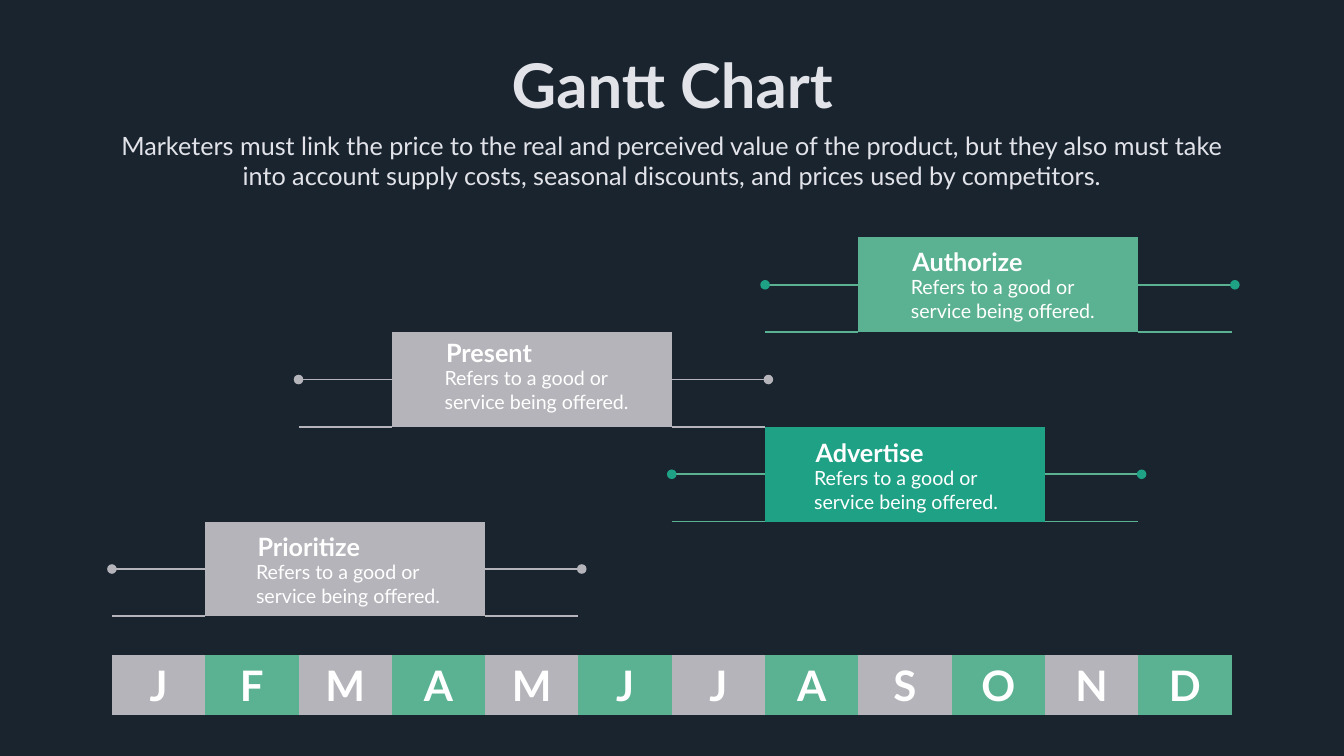
import collections

import pptx
import pptx.dml.color
import pptx.enum.shapes
import pptx.enum.text
import pptx.oxml
import pptx.oxml.ns
import pptx.util

Inches = pptx.util.Inches
Pt = pptx.util.Pt
RGBColor = pptx.dml.color.RGBColor
ALIGN = pptx.enum.text.PP_ALIGN
ANCHOR = pptx.enum.text.MSO_ANCHOR

NIGHT = RGBColor(0x19, 0x24, 0x2F)
PALE = RGBColor(0xE2, 0xE3, 0xE9)
WHITE = RGBColor(0xFF, 0xFF, 0xFF)
GREY = RGBColor(0xB4, 0xB4, 0xBA)
GREEN = RGBColor(0x5B, 0xB2, 0x92)
TEAL = RGBColor(0x1E, 0xA1, 0x85)

NO_GRID_STYLE = "{2D5ABB26-0587-4C30-8999-92F81FD0307C}"
MONTHS = "JFMAMJJASOND"
LEFT, TOP, WIDTH = 2.22, 4.71, 22.21
COLUMN = WIDTH / len(MONTHS)
ROW = 0.94
ROWS = [ROW] * 8 + [0.76, 1.2]
BAR_COLUMNS = 3
DOT = 0.19
DOT_SPAN = 9.32

# text_left and text_top place the description; the name sits just above it.
Task = collections.namedtuple(
    "Task", "name row column bar line dot text_left text_top name_width")
TASKS = [
    Task("Authorize", 0, 8, GREEN, GREEN, TEAL, 17.97, 5.41, 2.41),
    Task("Present", 2, 3, GREY, GREY, GREY, 8.72, 7.22, 1.94),
    Task("Prioritize", 6, 1, GREY, GREY, GREY, 4.98, 11.06, 2.25),
    Task("Advertise", 4, 7, TEAL, GREEN, TEAL, 16.05, 9.2, 2.37),
]


class GanttPage:
    font = "Lato"

    def __init__(self, deck):
        self.page = deck.slides.add_slide(deck.slide_layouts[5])
        self.page.background.fill.solid()
        self.page.background.fill.fore_color.rgb = NIGHT

    def add_words(self, frame, text, size, color, bold=False, align=ALIGN.LEFT):
        para = frame.paragraphs[0]
        para.alignment = align
        span = para.add_run()
        span.text = text
        span.font.name = self.font
        span.font.size = Pt(size)
        span.font.bold = bold
        span.font.color.rgb = color

    def title(self, text, left, top, width, height):
        box = self.page.shapes.title
        box.left, box.top = Inches(left), Inches(top)
        box.width, box.height = Inches(width), Inches(height)
        frame = box.text_frame
        frame.word_wrap = False
        frame.auto_size = pptx.enum.text.MSO_AUTO_SIZE.SHAPE_TO_FIT_TEXT
        frame.vertical_anchor = ANCHOR.TOP
        self.add_words(frame, text, 88, PALE, True, ALIGN.CENTER)

    def text(self, text, left, top, width, height, size, color, **style):
        box = self.page.shapes.add_textbox(
            Inches(left), Inches(top), Inches(width), Inches(height))
        box.text_frame.word_wrap = True
        box.text_frame.auto_size = pptx.enum.text.MSO_AUTO_SIZE.SHAPE_TO_FIT_TEXT
        self.add_words(box.text_frame, text, size, color, **style)

    def dot(self, center_x, center_y, color):
        shape = self.page.shapes.add_shape(
            pptx.enum.shapes.MSO_SHAPE.OVAL,
            Inches(center_x - DOT / 2), Inches(center_y - DOT / 2),
            Inches(DOT), Inches(DOT))
        shape.shadow.inherit = False
        shape.fill.solid()
        shape.fill.fore_color.rgb = color
        shape.line.fill.background()

    def calendar(self):
        frame = self.page.shapes.add_table(
            len(ROWS), len(MONTHS), Inches(LEFT), Inches(TOP),
            Inches(WIDTH), Inches(sum(ROWS)))
        table = frame.table
        table.first_row = table.horz_banding = False
        properties = table._tbl.tblPr
        properties.find(pptx.oxml.ns.qn("a:tableStyleId")).text = NO_GRID_STYLE
        for column in table.columns:
            column.width = Inches(COLUMN)
        for row, height in zip(table.rows, ROWS):
            row.height = Inches(height)
        for cell in table.iter_cells():
            cell.fill.background()
        for index, month in enumerate(MONTHS):
            cell = table.cell(len(ROWS) - 1, index)
            self.fill(cell, GREEN if index % 2 else GREY)
            cell.vertical_anchor = ANCHOR.MIDDLE
            self.add_words(cell.text_frame, month, 60, WHITE, True, ALIGN.CENTER)
        return table

    def fill(self, cell, color):
        cell.fill.solid()
        cell.fill.fore_color.rgb = color

    def border(self, cell, side, color):
        """Draw one 3 pt edge; side is lnT or lnB."""
        line = pptx.oxml.parse_xml(
            f'<a:{side} {pptx.oxml.ns.nsdecls("a")} w="{Pt(3)}">'
            f'<a:solidFill><a:srgbClr val="{color}"/></a:solidFill></a:{side}>')
        cell._tc.get_or_add_tcPr().insert(0, line)

    def bar(self, table, task):
        """Merge the cells of a task and rule the cell on each side of them."""
        first = table.cell(task.row, task.column)
        first.merge(table.cell(task.row + 1, task.column + BAR_COLUMNS - 1))
        self.fill(first, task.bar)
        for column in (task.column - 1, task.column + BAR_COLUMNS):
            self.border(table.cell(task.row, column), "lnB", task.line)
            self.border(table.cell(task.row + 1, column), "lnT", task.line)

    def label(self, task):
        self.text("Refers to a good or service being offered.",
                  task.text_left, task.text_top, 3.92, 1.04, 28, WHITE)
        self.text(task.name, task.text_left + 0.03, task.text_top - 0.57,
                  task.name_width, 0.71, 36, WHITE, bold=True)

    def dots(self, task):
        start = LEFT + (task.column - 1) * COLUMN
        middle = TOP + (task.row + 1) * ROW
        self.dot(start, middle, task.dot)
        self.dot(start + DOT_SPAN, middle, task.dot)


def main():
    deck = pptx.Presentation()
    deck.slide_width, deck.slide_height = Inches(26.66), Inches(15)
    gantt = GanttPage(deck)
    gantt.title("Gantt Chart", 9.97, 0.88, 6.73, 1.58)
    gantt.text(
        "Marketers must link the price to the real and perceived value of the "
        "product, but they also must take into account supply costs, seasonal "
        "discounts, and prices used by competitors.",
        LEFT, 2.54, WIDTH, 1.31, 36, PALE, align=ALIGN.CENTER)
    table = gantt.calendar()
    for task in TASKS:
        gantt.bar(table, task)
        gantt.label(task)
        gantt.dots(task)
    deck.save("out.pptx")


if __name__ == "__main__":
    main()
